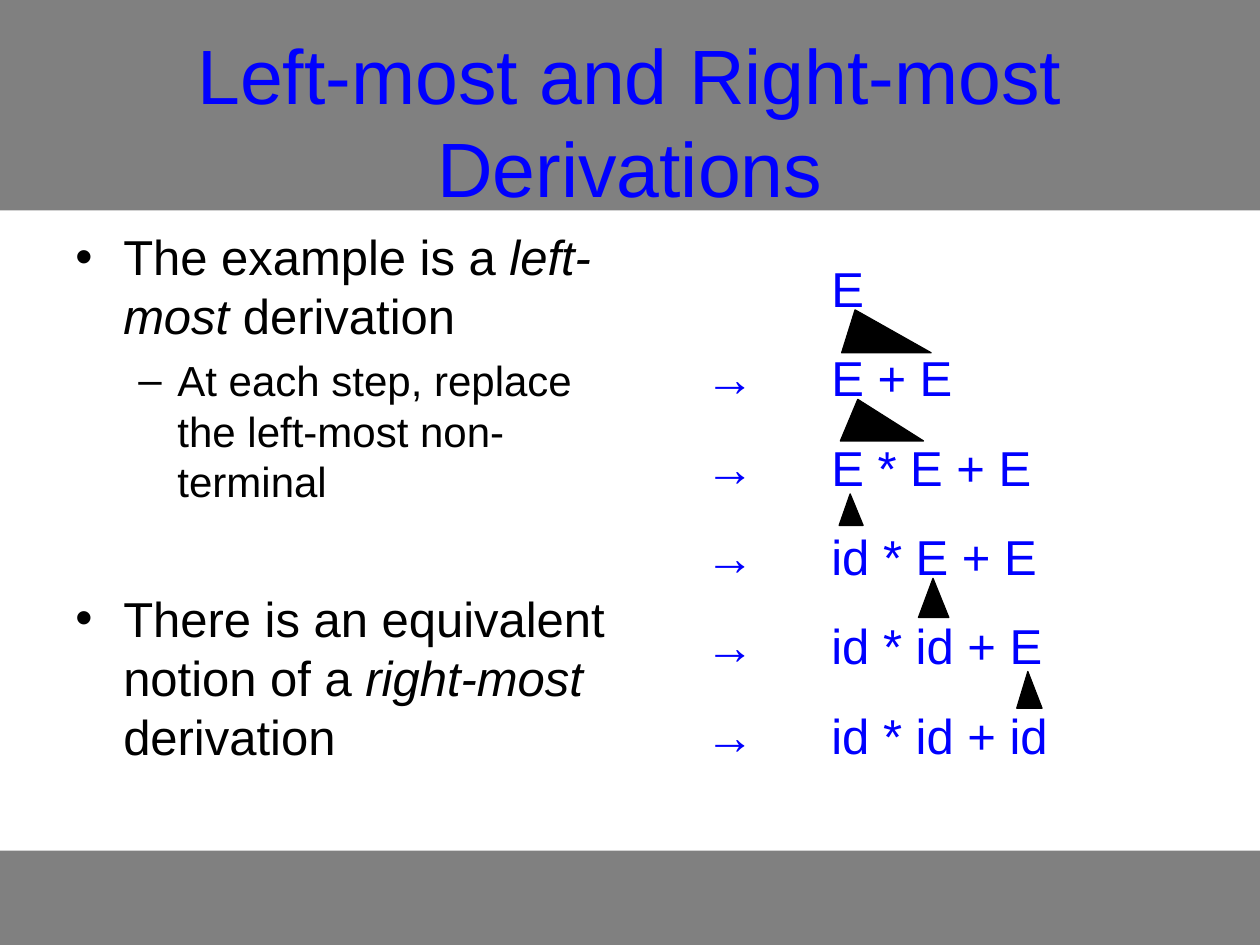
from lxml import etree
from pptx import Presentation
from pptx.dml.color import RGBColor
from pptx.enum.shapes import MSO_SHAPE
from pptx.enum.text import MSO_ANCHOR, PP_ALIGN
from pptx.oxml.ns import qn
from pptx.util import Inches, Pt

RECTANGLE = MSO_SHAPE.RECTANGLE
TRIANGLE = MSO_SHAPE.ISOSCELES_TRIANGLE
MIDDLE = MSO_ANCHOR.MIDDLE
CENTER = PP_ALIGN.CENTER

FONT = "Arial"
GRAY, BLUE, BLACK = "808080", "0000FF", "000000"
BLANK_LAYOUT = 6

# Bullet level: character, text size, left margin, hanging indent
LEVELS = [("•", 28, 0.38, -0.38), ("–", 24, 0.81, -0.31)]

# Bullets: level, space before, runs as (text, italic)
BULLETS = [
    (0, 7, [("The example is a ", False), ("left-most ", True), ("derivation", False)]),
    (1, 6, [("At each step, replace the left-most non-terminal", False)]),
    (0, 47, [("There is an equivalent notion of a ", False), ("right-most ", True),
             ("derivation", False)]),
]

DERIVATION = ["\tE", "→ \tE + E", "→ \tE * E + E", "→ \tid * E + E",
              "→ \tid * id + E", "→ \tid * id + id"]

# Expansion triangles: box, apex position as a share of the width
EXPANSIONS = [
    ((6.68, 2.46, 0.71, 0.34), 0.15),
    ((6.67, 3.17, 0.66, 0.33), 0.21),
    ((6.66, 3.92, 0.19, 0.25), 0.46),
    ((7.29, 4.59, 0.24, 0.31), 0.48),
    ((8.07, 5.33, 0.2, 0.29), 0.44),
]


def color(value):
    return RGBColor.from_string(value)


def add_filled(slide, kind, box, fill):
    shape = slide.shapes.add_shape(kind, *map(Inches, box))
    shape.shadow.inherit = False
    shape.fill.solid()
    shape.fill.fore_color.rgb = color(fill)
    return shape


def add_text_frame(slide, box):
    text_frame = slide.shapes.add_textbox(*map(Inches, box)).text_frame
    text_frame.word_wrap = True
    return text_frame


def next_paragraph(text_frame, index):
    return text_frame.add_paragraph() if index else text_frame.paragraphs[0]


def format_run(run, size, value):
    run.font.name = FONT
    run.font.size = Pt(size)
    run.font.color.rgb = color(value)


def add_band(slide, box):
    add_filled(slide, RECTANGLE, box, GRAY).line.fill.background()


def add_title(slide, box):
    text_frame = add_text_frame(slide, box)
    text_frame.vertical_anchor = MIDDLE
    text_frame.text = "Left-most and Right-most Derivations"
    paragraph = text_frame.paragraphs[0]
    paragraph.alignment = CENTER
    format_run(paragraph.runs[0], 44, BLUE)


def add_bullets(slide, box):
    text_frame = add_text_frame(slide, box)
    for index, (level, space, runs) in enumerate(BULLETS):
        character, size, margin, indent = LEVELS[level]
        paragraph = next_paragraph(text_frame, index)
        paragraph.level = level
        paragraph.space_before = Pt(space)
        for text, italic in runs:
            run = paragraph.add_run()
            run.text = text
            format_run(run, size, BLACK)
            run.font.italic = italic
        # Bullet character and hanging indent
        properties = paragraph._p.get_or_add_pPr()
        properties.set("marL", str(Inches(margin)))
        properties.set("indent", str(Inches(indent)))
        bullet_color = etree.SubElement(properties, qn("a:buClr"))
        etree.SubElement(bullet_color, qn("a:srgbClr"), val=BLACK)
        etree.SubElement(properties, qn("a:buFont"), typeface=FONT)
        etree.SubElement(properties, qn("a:buChar"), char=character)


def add_derivation(slide, box):
    text_frame = add_text_frame(slide, box)
    for index, step in enumerate(DERIVATION):
        paragraph = next_paragraph(text_frame, index)
        paragraph.text = step
        paragraph.space_before = Pt(17.5)
        format_run(paragraph.runs[0], 28, BLUE)
        # Tab stop that aligns the sentential forms
        tabs = etree.SubElement(paragraph._p.get_or_add_pPr(), qn("a:tabLst"))
        etree.SubElement(tabs, qn("a:tab"), pos=str(Inches(1)), algn="l")


def add_expansion(slide, box, apex):
    triangle = add_filled(slide, TRIANGLE, box, BLACK)
    triangle.adjustments[0] = apex
    triangle.line.color.rgb = color(BLACK)
    triangle.line.width = Pt(0.75)


def main():
    presentation = Presentation()
    presentation.slide_width = Inches(10)
    presentation.slide_height = Inches(7.5)
    slide = presentation.slides.add_slide(presentation.slide_layouts[BLANK_LAYOUT])

    # Footer and header bands
    add_band(slide, (0, 6.75, 10, 0.75))
    add_band(slide, (0, 0, 10, 1.67))

    add_title(slide, (0.5, 0.33, 9, 1.25))
    add_bullets(slide, (0.5, 1.75, 4.42, 4.95))

    # Derivation steps with the expanded non-terminals
    add_derivation(slide, (5.5, 2, 3.83, 4.12))
    for box, apex in EXPANSIONS:
        add_expansion(slide, box, apex)

    presentation.save("out.pptx")


if __name__ == "__main__":
    main()
